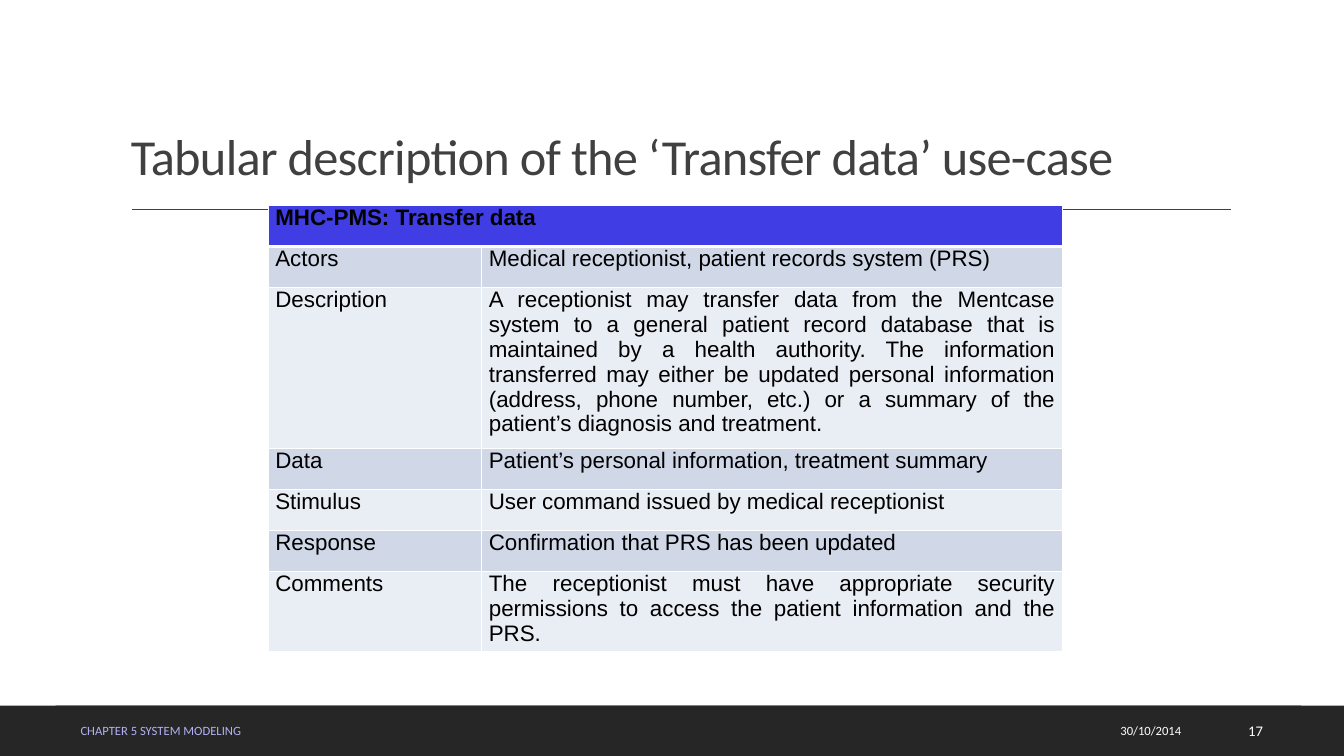
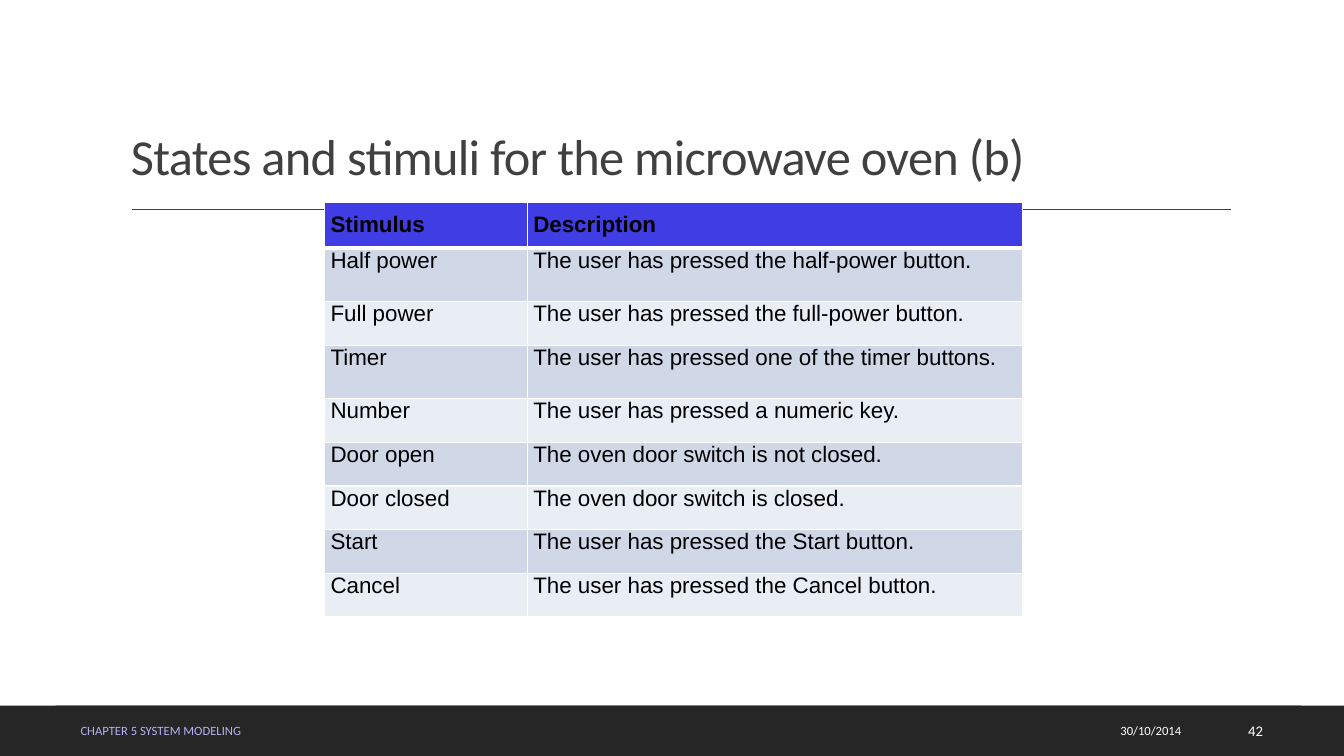
from dataclasses import dataclass

from lxml import etree
from pptx import Presentation
from pptx.dml.color import RGBColor
from pptx.enum.shapes import MSO_CONNECTOR, MSO_SHAPE
from pptx.enum.text import MSO_ANCHOR, PP_ALIGN
from pptx.oxml.ns import qn
from pptx.slide import Slide
from pptx.table import _Cell
from pptx.text.text import _Paragraph
from pptx.util import Cm, Pt

RECTANGLE = MSO_SHAPE.RECTANGLE
STRAIGHT = MSO_CONNECTOR.STRAIGHT
LEFT, RIGHT, JUSTIFY = PP_ALIGN.LEFT, PP_ALIGN.RIGHT, PP_ALIGN.JUSTIFY
MIDDLE, BOTTOM = MSO_ANCHOR.MIDDLE, MSO_ANCHOR.BOTTOM

WHITE, BLACK = "FFFFFF", "000000"
CHARCOAL, BAND, LILAC = "404040", "262626", "B2B1F4"
HEADER_FILL = "3F3DE3"
ROW_FILLS = ("D0D8E8", "E9EDF4")
HEADING_FONT, TABLE_FONT = "Calibri", "Arial"

SLIDE_WIDTH, SLIDE_HEIGHT = 33.87, 19.05
BAND_TOP, BAND_HEIGHT = 17.78, 1.27
FOOTER_TOP, FOOTER_HEIGHT = 17.91, 1.02


@dataclass(frozen=True)
class Style:
    size: float
    color: str
    font: str = HEADING_FONT
    bold: bool = False
    align: PP_ALIGN = LEFT
    spacing: int = 0  # hundredths of a point


@dataclass(frozen=True)
class Box:
    left: float
    top: float
    width: float
    height: float


@dataclass(frozen=True)
class Grid:
    left: float
    top: float
    columns: tuple[float, float]
    heights: list[float]
    side_inset: float
    header_top_inset: float
    bottom_inset: float
    rows: list[tuple[str, ...]]


@dataclass(frozen=True)
class Page:
    title: str
    number: str
    grid: Grid


TITLE_STYLE = Style(36, CHARCOAL, spacing=-50)
CHAPTER_STYLE = Style(9, LILAC)
DATE_STYLE = Style(9, WHITE, align=RIGHT)
NUMBER_STYLE = Style(10.5, WHITE, align=RIGHT)
HEADER_STYLE = Style(16, BLACK, TABLE_FONT, bold=True, align=JUSTIFY)
CELL_STYLE = Style(16, BLACK, TABLE_FONT, align=JUSTIFY)

TRANSFER_DATA = Grid(
    6.76, 5.18, (5.38, 14.63), [1.03] * 7, 0.18, 0, 0,
    [
        ("MHC-PMS: Transfer data",),
        ("Actors", "Medical receptionist, patient records system (PRS)"),
        ("Description",
         "A receptionist may transfer data from the Mentcase system to a general "
         "patient record database that is maintained by a health authority. The "
         "information transferred may either be updated personal information "
         "(address, phone number, etc.) or a summary of the patient’s diagnosis "
         "and treatment."),
        ("Data", "Patient’s personal information, treatment summary"),
        ("Stimulus", "User command issued by medical receptionist"),
        ("Response", "Confirmation that PRS has been updated"),
        ("Comments",
         "The receptionist must have appropriate security permissions to access "
         "the patient information and the PRS."),
    ],
)

OVEN_STIMULI = Grid(
    8.18, 5.11, (5.11, 12.47), [1.1, 1.35, 1.1, 1.35] + [1.1] * 5, 0.15, 0.23, 0.23,
    [
        ("Stimulus", "Description"),
        ("Half power", "The user has pressed the half-power button."),
        ("Full power", "The user has pressed the full-power button."),
        ("Timer", "The user has pressed one of the timer buttons."),
        ("Number", "The user has pressed a numeric key."),
        ("Door open", "The oven door switch is not closed."),
        ("Door closed", "The oven door switch is closed."),
        ("Start", "The user has pressed the Start button."),
        ("Cancel", "The user has pressed the Cancel button."),
    ],
)

PAGES = (
    Page("Tabular description of the ‘Transfer data’ use-case", "17", TRANSFER_DATA),
    Page("States and stimuli for the microwave oven (b)", "42", OVEN_STIMULI),
)


def rgb(value: str) -> RGBColor:
    return RGBColor.from_string(value)


def write(paragraph: _Paragraph, text: str, style: Style) -> None:
    paragraph.alignment = style.align
    run = paragraph.add_run()
    run.text = text
    run.font.name = style.font
    run.font.size = Pt(style.size)
    run.font.bold = style.bold
    run.font.color.rgb = rgb(style.color)
    if style.spacing:
        run.font._element.set("spc", str(style.spacing))


def add_label(slide: Slide, box: Box, text: str, style: Style,
              anchor: MSO_ANCHOR = MIDDLE) -> _Paragraph:
    label = slide.shapes.add_textbox(
        Cm(box.left), Cm(box.top), Cm(box.width), Cm(box.height))
    frame = label.text_frame
    frame.word_wrap = True
    frame.vertical_anchor = anchor
    write(frame.paragraphs[0], text, style)
    return frame.paragraphs[0]


def add_frame(slide: Slide, page: Page) -> None:
    # Footer bands
    for left, width in ((0, SLIDE_WIDTH), (1.4, 31.39)):
        band = slide.shapes.add_shape(
            RECTANGLE, Cm(left), Cm(BAND_TOP), Cm(width), Cm(BAND_HEIGHT))
        band.shadow.inherit = False
        band.fill.solid()
        band.fill.fore_color.rgb = rgb(BAND)
        band.line.fill.background()

    # Rule under the title
    rule = slide.shapes.add_connector(STRAIGHT, Cm(3.33), Cm(5.28), Cm(31.01), Cm(5.28))
    rule.line.color.rgb = rgb(CHARCOAL)
    rule.line.width = Pt(1)
    etree.SubElement(rule._element.spPr, qn("a:effectLst"))

    # Title
    title = add_label(slide, Box(3.05, 0.79, 27.94, 4.04), page.title, TITLE_STYLE, BOTTOM)
    title.line_spacing = 0.9

    # Footer texts
    for left, width, text, style in (
        (1.78, 18.95, "CHAPTER 5 SYSTEM MODELING", CHAPTER_STYLE),
        (22.83, 7.19, "30/10/2014", DATE_STYLE),
        (30.35, 1.73, page.number, NUMBER_STYLE),
    ):
        add_label(slide, Box(left, FOOTER_TOP, width, FOOTER_HEIGHT), text, style)


def set_borders(cell: _Cell, top: float, bottom: float) -> None:
    properties = cell._tc.get_or_add_tcPr()
    for side, width in (("L", 1), ("R", 1), ("T", top), ("B", bottom)):
        edge = etree.SubElement(properties, qn(f"a:ln{side}"), w=str(Pt(width)))
        fill = etree.SubElement(edge, qn("a:solidFill"))
        etree.SubElement(fill, qn("a:srgbClr"), val=WHITE)


def add_grid(slide: Slide, grid: Grid) -> None:
    table = slide.shapes.add_table(
        len(grid.rows), len(grid.columns), Cm(grid.left), Cm(grid.top),
        Cm(sum(grid.columns)), Cm(sum(grid.heights))).table
    table.first_row = False
    table.horz_banding = False
    for column, width in zip(table.columns, grid.columns):
        column.width = Cm(width)

    for index, texts in enumerate(grid.rows):
        is_header = index == 0
        table.rows[index].height = Cm(grid.heights[index])
        for cell in table.rows[index].cells:
            cell.margin_left = cell.margin_right = Cm(grid.side_inset)
            cell.margin_top = Cm(grid.header_top_inset if is_header else 0)
            cell.margin_bottom = Cm(grid.bottom_inset)
            set_borders(cell, 3 if index == 1 else 1, 3 if is_header else 1)
            cell.fill.solid()
            cell.fill.fore_color.rgb = rgb(
                HEADER_FILL if is_header else ROW_FILLS[(index - 1) % 2])
        for position, text in enumerate(texts):
            write(table.cell(index, position).text_frame.paragraphs[0], text,
                  HEADER_STYLE if is_header else CELL_STYLE)
        if len(texts) == 1:
            table.cell(index, 0).merge(table.cell(index, len(grid.columns) - 1))


def main() -> None:
    deck = Presentation()
    deck.slide_width, deck.slide_height = Cm(SLIDE_WIDTH), Cm(SLIDE_HEIGHT)
    blank = deck.slide_layouts[6]
    for page in PAGES:
        slide = deck.slides.add_slide(blank)
        add_frame(slide, page)
        add_grid(slide, page.grid)
    deck.save("out.pptx")


if __name__ == "__main__":
    main()
